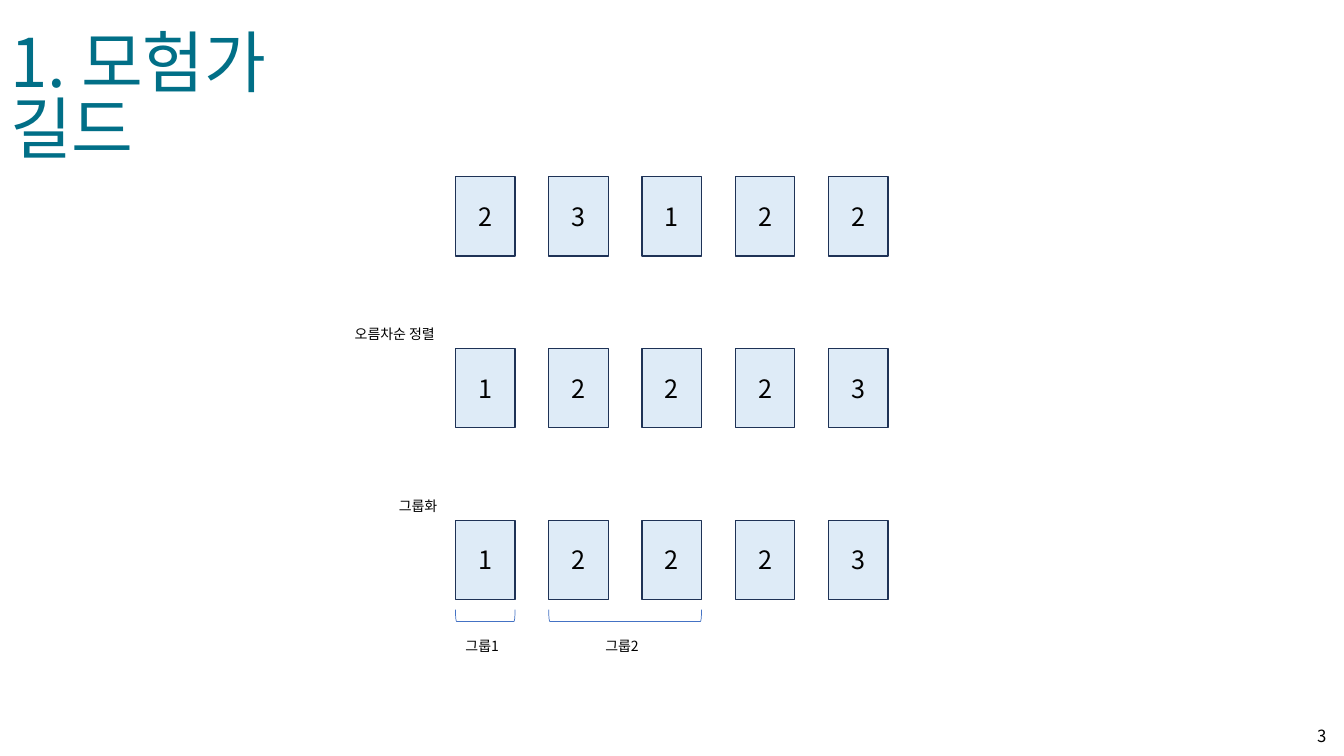
"""Build the adventurer guild slide: numbers are sorted, then grouped."""
from lxml import etree
from pptx import Presentation, util as u
from pptx.dml.color import RGBColor
from pptx.enum import shapes, text as t
from pptx.oxml.ns import qn

FONT = "Noto Sans CJK KR"
LEFT, STEP, WIDE, TALL = 11.48, 2.35, 1.5, 2
TOP, DROP = 4.45, 4.33


def hue(code):
    return RGBColor.from_string(code)


def write(shape, words, size=10, color="000000", align="LEFT", anchor="TOP", lead=None):
    frame = shape.text_frame
    frame.text = words
    frame.word_wrap = True
    frame.auto_size = t.MSO_AUTO_SIZE.NONE
    frame.vertical_anchor = t.MSO_ANCHOR[anchor]
    para = frame.paragraphs[0]
    para.alignment = t.PP_ALIGN[align]
    para.line_spacing = lead
    font = para.runs[0].font
    font.size = u.Pt(size)
    font.color.rgb = hue(color)
    font.name = FONT
    east = etree.Element(qn("a:ea"), typeface=FONT)
    font._element.find(qn("a:latin")).addnext(east)


deck = Presentation()
deck.slide_width, deck.slide_height = u.Cm(33.87), u.Cm(19.05)
slide = deck.slides.add_slide(deck.slide_layouts[5])

title = slide.shapes.title
title.left, title.top = u.Cm(0), u.Cm(0.74)
title.width, title.height = u.Cm(9.9), u.Cm(4.3)
write(title, "1. 모험가 길드", size=48, color="016F87", lead=0.82)

page = slide.shapes.add_textbox(u.Cm(32.23), u.Cm(18.03), u.Cm(1.45), u.Cm(1.02))
write(page, "3", size=12, align="RIGHT", anchor="MIDDLE")

for row, digits in enumerate(["23122", "12223", "12223"]):
    group = slide.shapes.add_group_shape().shapes
    for col, digit in enumerate(digits):
        box = group.add_shape(
            shapes.MSO_SHAPE.RECTANGLE, u.Cm(LEFT + col * STEP),
            u.Cm(TOP + row * DROP), u.Cm(WIDE), u.Cm(TALL))
        box.shadow.inherit = False
        box.fill.solid()
        box.fill.fore_color.rgb = hue("DEEBF7")
        box.line.color.rgb = hue("1E3256")
        box.line.width = u.Pt(1)
        write(box, digit, size=18, align="CENTER", anchor="MIDDLE")

for name, first, count in [("그룹1", 0, 1), ("그룹2", 1, 2)]:
    span = WIDE + (count - 1) * STEP
    mid = LEFT + first * STEP + span / 2
    clasp = group.add_shape(
        shapes.MSO_SHAPE.LEFT_BRACKET, u.Cm(mid - 0.15),
        u.Cm(15.51 - span / 2), u.Cm(0.3), u.Cm(span))
    clasp.rotation = 270
    clasp.shadow.inherit = False
    clasp.fill.background()
    clasp.line.color.rgb = hue("4472C4")
    clasp.line.width = u.Pt(0.5)
    label = group.add_textbox(u.Cm(mid - WIDE / 2), u.Cm(15.93), u.Cm(WIDE), u.Cm(0.69))
    write(label, name)

for row, name, left, width in [(1, "오름차순 정렬", 8.69, 2.79), (2, "그룹화", 9.8, 1.65)]:
    label = slide.shapes.add_textbox(
        u.Cm(left), u.Cm(TOP + row * DROP - 0.69), u.Cm(width), u.Cm(0.69))
    write(label, name)

deck.save("out.pptx")
